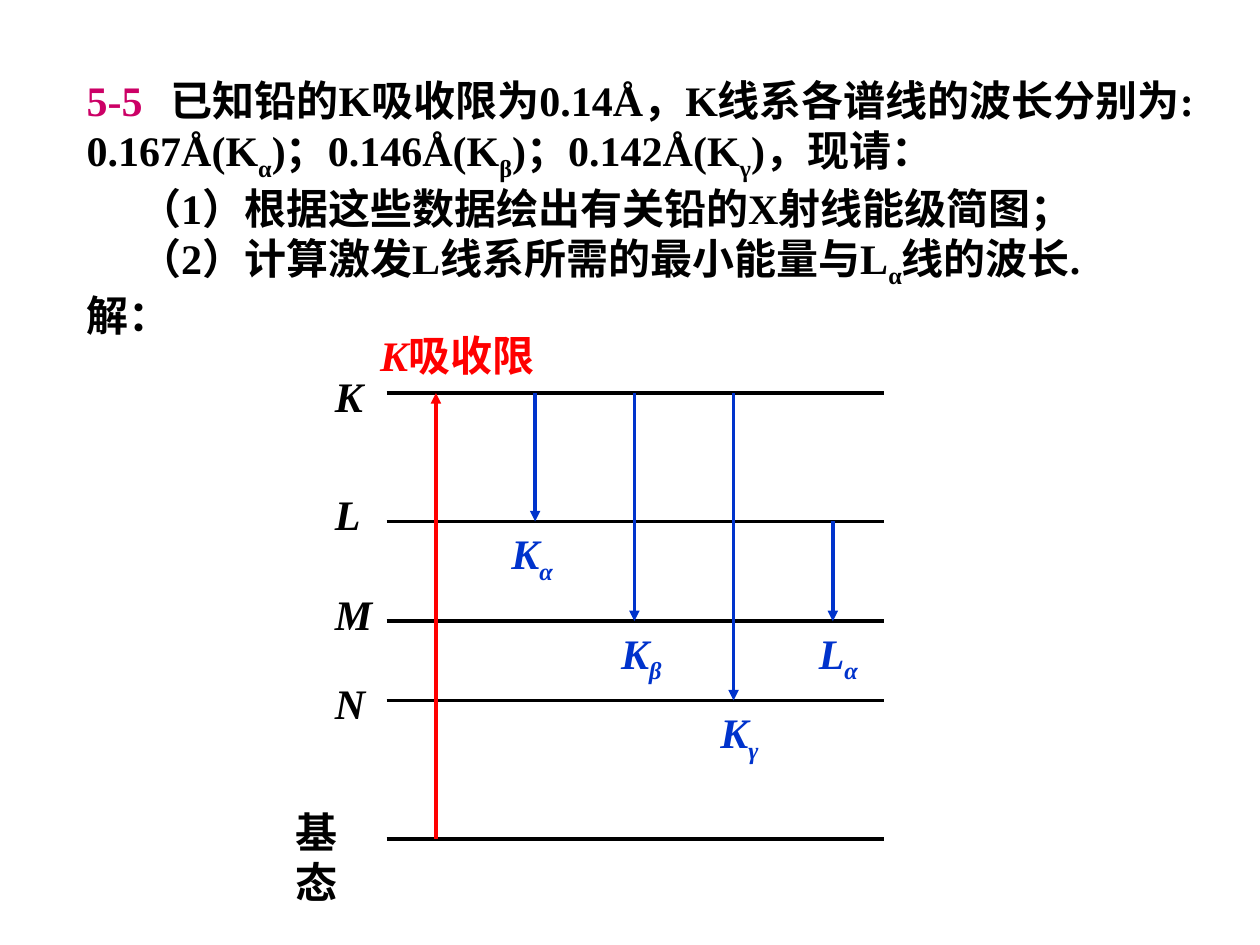
from lxml import etree
from pptx import Presentation
from pptx.dml.color import RGBColor
from pptx.enum.shapes import MSO_CONNECTOR
from pptx.enum.text import MSO_ANCHOR, MSO_AUTO_SIZE
from pptx.oxml.ns import qn
from pptx.util import Pt

STRAIGHT = MSO_CONNECTOR.STRAIGHT
MIDDLE = MSO_ANCHOR.MIDDLE
FIT = MSO_AUTO_SIZE.SHAPE_TO_FIT_TEXT

BLACK = RGBColor(0x00, 0x00, 0x00)
RED = RGBColor(0xFF, 0x00, 0x00)
BLUE = RGBColor(0x00, 0x33, 0xCC)
PINK = RGBColor(0xCC, 0x00, 0x66)

FONT = "Times New Roman"
SIZE = 24
LEFT, RIGHT = 221, 505
FIRST, STEP = 249.1, 56.7
INDENT, STOP = 30, 48

LEVELS = {"K": 224.6, "L": 298, "M": 355, "N": 400.3, "基态": 479.5}

NAMES = [
    ("K", 184.3, 208, 30.2),
    ("L", 184.3, 275.8, 28.8),
    ("M", 184.3, 332.6, 35.3),
    ("N", 184.3, 383.8, 31.7),
    ("基态", 162, 457.2, 61.9),
]

JUMPS = [
    ("K", "L", "α", 285.1, 38.2),
    ("K", "M", "β", 347.8, 37.4),
    ("K", "N", "γ", 404.6, 36),
    ("L", "M", "α", 460.8, 36.7),
]

TASK = [
    [("已知铅的K吸收限为0.14Å，K线系各谱线的波长分别为: 0.167Å(K", False),
     ("α", True), (")；0.146Å(K", False), ("β", True),
     (")；0.142Å(K", False), ("γ", True), (")，现请：", False)],
    [("（1）根据这些数据绘出有关铅的X射线能级简图；", False)],
    [("（2）计算激发L线系所需的最小能量与L", False), ("α", True),
     ("线的波长.", False)],
    [("解：", False)],
]


def add_run(para, text, color, sub=False, slant=False):
    run = para.add_run()
    run.text = text
    font = run.font
    font.name = FONT
    font.size = Pt(SIZE)
    font.bold = True
    font.italic = slant
    font.color.rgb = color
    if sub:
        run._r.get_or_add_rPr().set("baseline", "-25000")


def add_box(slide, left, top, width, height, wrap=False):
    box = slide.shapes.add_textbox(Pt(left), Pt(top), Pt(width), Pt(height))
    frame = box.text_frame
    frame.word_wrap = wrap
    frame.auto_size = FIT
    return frame


def add_line(slide, start, end, color, arrow=False):
    line = slide.shapes.add_connector(STRAIGHT, *map(Pt, start + end))
    line.line.color.rgb = color
    line.line.width = Pt(2)
    if arrow:
        tip = etree.SubElement(line.line._get_or_add_ln(), qn("a:tailEnd"))
        tip.set("type", "triangle")
    etree.SubElement(line._element.spPr, qn("a:effectLst"))


def add_task(slide):
    frame = add_box(slide, 42.5, 38.9, 652.3, 159.1, True)
    frame.vertical_anchor = MIDDLE
    for i, parts in enumerate(TASK):
        para = frame.paragraphs[0] if i == 0 else frame.add_paragraph()
        props = para._p.get_or_add_pPr()
        if i == 0:
            tabs = etree.SubElement(props, qn("a:tabLst"))
            stop = etree.SubElement(tabs, qn("a:tab"))
            stop.set("pos", str(Pt(STOP)))
            stop.set("algn", "l")
            add_run(para, "5-5\t", PINK)
        elif i < 3:
            props.set("marL", "0")
            props.set("indent", str(Pt(INDENT)))
        for text, sub in parts:
            add_run(para, text, BLACK, sub)


def add_levels(slide):
    for y in LEVELS.values():
        add_line(slide, (LEFT, y), (RIGHT, y), BLACK)
    for name, left, top, width in NAMES:
        para = add_box(slide, left, top, width, 36).paragraphs[0]
        add_run(para, name, BLACK, slant=name != "基态")


def add_edge(slide):
    add_line(slide, (FIRST, LEVELS["基态"]), (FIRST, LEVELS["K"]), RED, True)
    para = add_box(slide, 210.2, 185, 108, 36).paragraphs[0]
    add_run(para, "K", RED, slant=True)
    add_run(para, "吸收限", RED)


def add_jumps(slide):
    for i, (high, low, sub, left, width) in enumerate(JUMPS, 1):
        x = FIRST + i * STEP
        add_line(slide, (x, LEVELS[high]), (x, LEVELS[low]), BLUE, True)
        para = add_box(slide, left, LEVELS[low], width, 40.3).paragraphs[0]
        add_run(para, high, BLUE, slant=True)
        add_run(para, sub, BLUE, True, True)


def main():
    deck = Presentation()
    deck.slide_width, deck.slide_height = Pt(720), Pt(540)
    slide = deck.slides.add_slide(deck.slide_layouts[6])
    add_task(slide)
    add_levels(slide)
    add_edge(slide)
    add_jumps(slide)
    deck.save("out.pptx")


if __name__ == "__main__":
    main()
